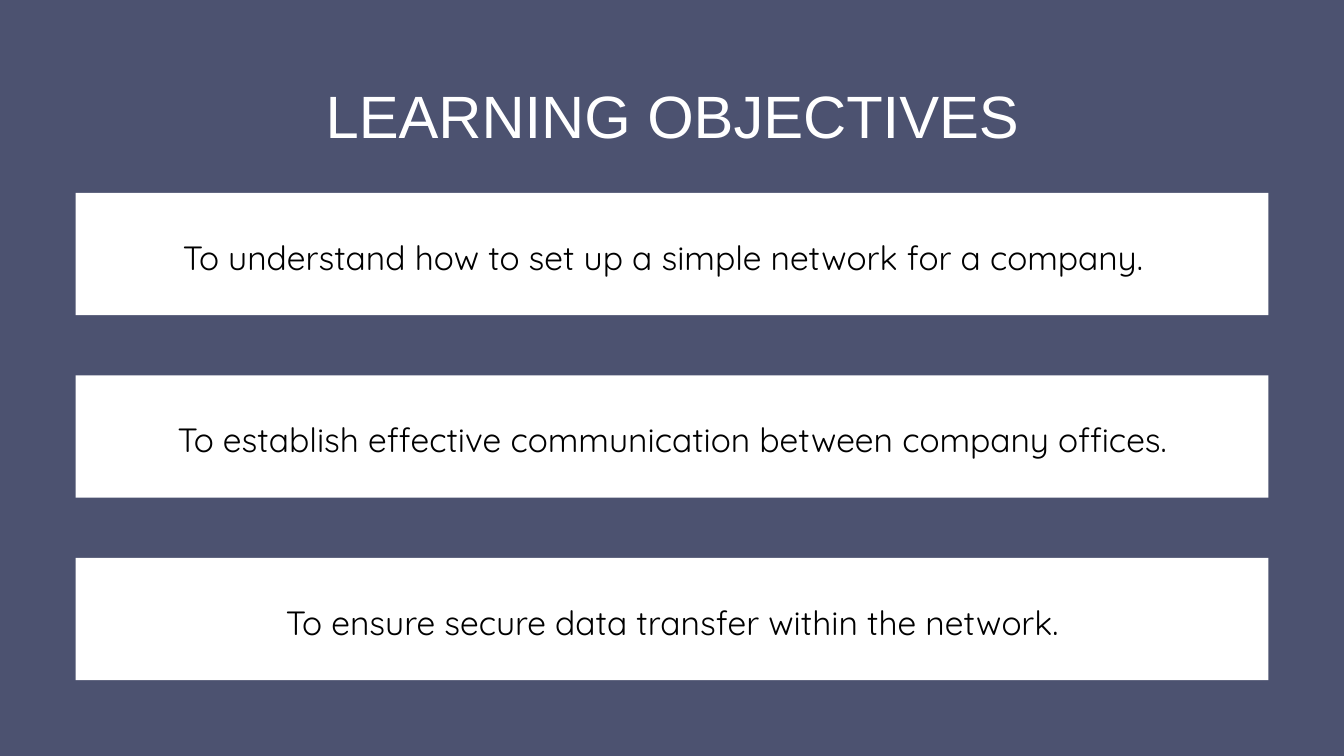
from pptx import Presentation
from pptx.dml.color import RGBColor
from pptx.enum.shapes import MSO_SHAPE
from pptx.enum.text import MSO_ANCHOR, PP_ALIGN
from pptx.util import Inches, Pt

SLATE = RGBColor(0x4C, 0x52, 0x70)
WHITE = RGBColor(0xFF, 0xFF, 0xFF)
BLACK = RGBColor(0x00, 0x00, 0x00)


def write(box, text, font, size, color, lead, inset=0):
    frame = box.text_frame
    frame.word_wrap = True
    frame.vertical_anchor = MSO_ANCHOR.TOP
    frame.margin_left = frame.margin_top = frame.margin_bottom = 0
    frame.margin_right = Inches(inset)
    frame.text = text
    para = frame.paragraphs[0]
    para.alignment = PP_ALIGN.CENTER
    para.line_spacing = Pt(lead)
    para.space_before = Pt(0)
    run = para.runs[0]
    run.font.name = font
    run.font.size = Pt(size)
    run.font.color.rgb = color


prs = Presentation()
prs.slide_width = Inches(20)
prs.slide_height = Inches(11.25)
slide = prs.slides.add_slide(prs.slide_layouts[5])
slide.background.fill.solid()
slide.background.fill.fore_color.rgb = SLATE

# Title
title = slide.shapes.title
title.left, title.top = Inches(1.54), Inches(1)
title.width, title.height = Inches(16.93), Inches(1.19)
write(title, "LEARNING OBJECTIVES", "Arial", 64, WHITE, 89.6)

# Objectives: text and right inset, which sets the first line a little left
goals = [
    ("To understand how to set up a simple network for a company.", 0.28),
    ("To establish effective communication between company offices.", 0),
    ("To ensure secure data transfer within the network.", 0),
]
for i, (goal, inset) in enumerate(goals):
    top = 2.87 + i * 2.715
    bar = slide.shapes.add_shape(
        MSO_SHAPE.RECTANGLE, Inches(1.125), Inches(top), Inches(17.75), Inches(1.82))
    bar.shadow.inherit = False
    bar.fill.solid()
    bar.fill.fore_color.rgb = WHITE
    bar.line.fill.background()
    box = slide.shapes.add_textbox(
        Inches(1.54), Inches(top + 0.5), Inches(16.93), Inches(0.7))
    write(box, goal, "Quicksand", 36, BLACK, 54, inset)

prs.save("out.pptx")
